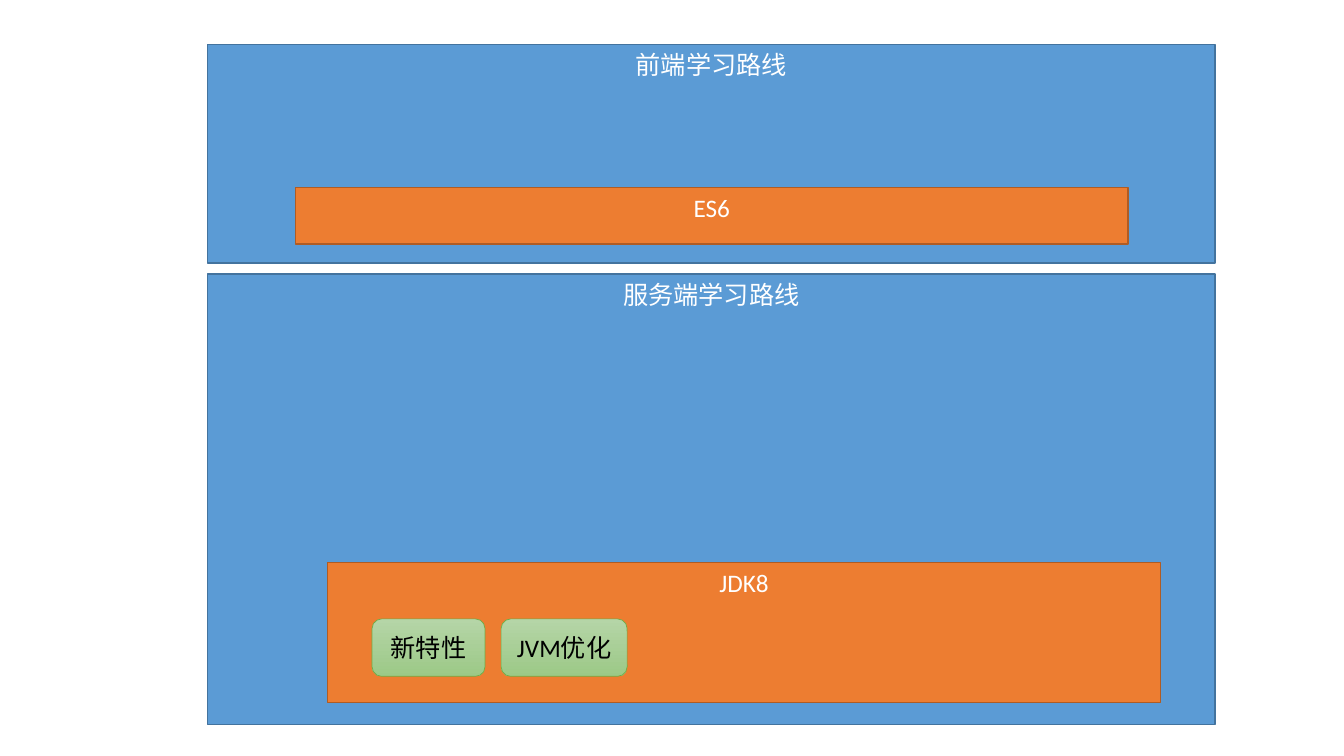
"""Draws the front-end and server-side learning route map."""
import pptx
import pptx.dml.color
import pptx.enum.shapes
import pptx.enum.text
import pptx.util
from pptx.util import Inches


def color(value):
    return pptx.dml.color.RGBColor.from_string(value)


class RouteMap:
    font = "Calibri"
    size = 18
    shapes = pptx.enum.shapes.MSO_SHAPE
    anchors = pptx.enum.text.MSO_ANCHOR

    def __init__(self, page):
        self.page = page

    def block(self, kind, text, place, line, width, ink, anchor):
        box = self.page.shapes.add_shape(kind, *(Inches(length) for length in place))
        box.shadow.inherit = False
        box.line.color.rgb = color(line)
        box.line.width = pptx.util.Pt(width)
        frame = box.text_frame
        frame.word_wrap = True
        frame.vertical_anchor = anchor
        frame.text = text
        para = frame.paragraphs[0]
        para.alignment = pptx.enum.text.PP_ALIGN.CENTER
        for span in para.runs:
            span.font.name = self.font
            span.font.size = pptx.util.Pt(self.size)
            span.font.color.rgb = color(ink)
        return box

    def panel(self, text, place, fill, line):
        box = self.block(self.shapes.RECTANGLE, text, place, line, 1, "FFFFFF", self.anchors.TOP)
        box.fill.solid()
        box.fill.fore_color.rgb = color(fill)

    def route(self, text, top, height):
        self.panel(text, (2.06, top, 9.99, height), "5B9BD5", "43739E")

    def technology(self, text, left, top, height):
        self.panel(text, (left, top, 8.26, height), "ED7D31", "AF5C24")

    def topic(self, text, left, width):
        box = self.block(self.shapes.ROUNDED_RECTANGLE, text, (left, 6.14, width, 0.57),
                         "70AD47", 0.5, "000000", self.anchors.MIDDLE)
        box.fill.gradient()
        box.fill.gradient_angle = 270
        for stop, shade in zip(box.fill.gradient_stops, ("B5D5A7", "9CC987")):
            stop.color.rgb = color(shade)


def main():
    deck = pptx.Presentation()
    deck.slide_width = Inches(13.33)
    deck.slide_height = Inches(7.5)
    route_map = RouteMap(deck.slides.add_slide(deck.slide_layouts[6]))
    route_map.route("前端学习路线", 0.44, 2.17)
    route_map.route("服务端学习路线", 2.72, 4.47)
    route_map.technology("JDK8", 3.25, 5.58, 1.39)
    route_map.topic("新特性", 3.69, 1.12)
    route_map.topic("JVM优化", 4.97, 1.25)
    route_map.technology("ES6", 2.93, 1.86, 0.56)
    deck.save("out.pptx")


if __name__ == "__main__":
    main()
